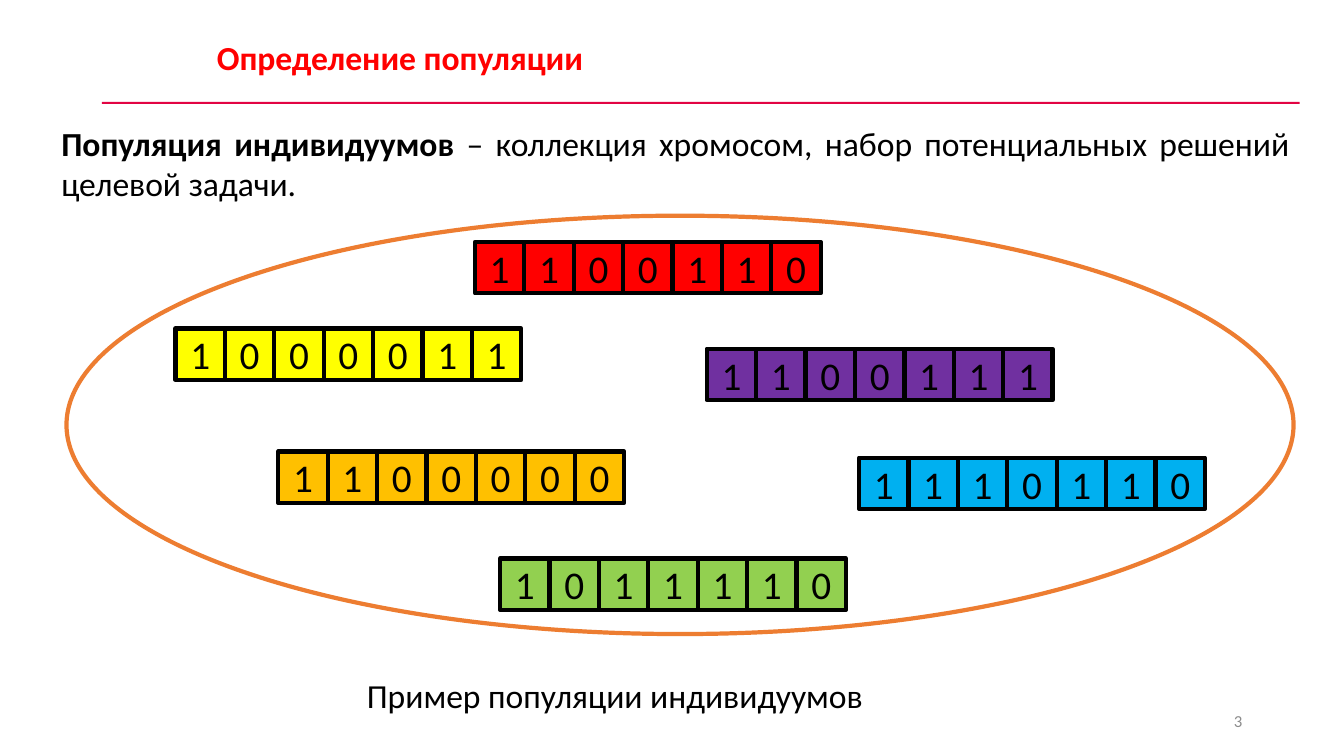
"""Build the slide that defines a population of individuals."""
import pptx
import pptx.util
import pptx.dml.color
import pptx.enum.shapes
import pptx.enum.text

Inches = pptx.util.Inches
ALIGN = pptx.enum.text.PP_ALIGN
ANCHOR = pptx.enum.text.MSO_ANCHOR
SHAPE = pptx.enum.shapes.MSO_SHAPE

COLORS = {
    "black": "000000", "gray": "8C8C8C", "rule": "E20443", "oval": "ED7D31",
    "red": "FF0000", "yellow": "FFFF00", "green": "92D050",
    "blue": "00B0F0", "purple": "7030A0", "orange": "FFC000",
}
TITLE = "Определение популяции"
TERM = "Популяция индивидуумов"
MEANING = " – коллекция хромосом, набор потенциальных решений целевой задачи."
CAPTION = "Пример популяции индивидуумов"
NUMBER = "3"
GENES = [
    ("1100110", "red", 4.71, 2.4),
    ("1000011", "yellow", 1.74, 3.26),
    ("1011110", "green", 4.96, 5.54),
    ("1110110", "blue", 8.52, 4.54),
    ("1100111", "purple", 7.01, 3.46),
    ("1100000", "orange", 2.76, 4.48),
]
STEP, WIDTH, HEIGHT = 0.49, 0.49, 0.51


def color(name):
    return pptx.dml.color.RGBColor.from_string(COLORS[name])


def write(frame, runs, size, align=ALIGN.LEFT, anchor=ANCHOR.TOP):
    frame.word_wrap = True
    frame.auto_size = pptx.enum.text.MSO_AUTO_SIZE.NONE
    frame.vertical_anchor = anchor
    line = frame.paragraphs[0]
    line.alignment = align
    for text, tone, bold in runs:
        run = line.add_run()
        run.text = text
        run.font.name = "Calibri"
        run.font.size = pptx.util.Pt(size)
        run.font.bold = bold
        run.font.color.rgb = color(tone)


def add_text(slide, box, *style):
    write(slide.shapes.add_textbox(*map(Inches, box)).text_frame, *style)


def add_shape(slide, kind, box, fill=None, line=None):
    shape = slide.shapes.add_shape(kind, *map(Inches, box))
    shape.shadow.inherit = False
    if fill:
        shape.fill.solid()
        shape.fill.fore_color.rgb = color(fill)
    else:
        shape.fill.background()
    if line:
        shape.line.color.rgb = color(line)
        shape.line.width = pptx.util.Pt(3)
    else:
        shape.line.fill.background()
    return shape


def main():
    deck = pptx.Presentation()
    deck.slide_width, deck.slide_height = Inches(13.33), Inches(7.5)
    slide = deck.slides.add_slide(deck.slide_layouts[5])

    title = slide.shapes.title
    title.left, title.top = Inches(2.05), Inches(0.32)
    title.width, title.height = Inches(9.23), Inches(0.5)
    write(title.text_frame, [(TITLE, "red", True)], 24)

    add_shape(slide, SHAPE.RECTANGLE, (1.01, 1.01, 11.88, 0.02), "rule")
    add_text(slide, (9.42, 6.95, 3, 0.4), [(NUMBER, "gray", False)], 12,
             ALIGN.RIGHT, ANCHOR.MIDDLE)
    add_text(slide, (0.51, 1.17, 12.38, 1.31),
             [(TERM, "black", True), (MEANING, "black", False)], 24, ALIGN.JUSTIFY)
    add_text(slide, (3.54, 6.65, 6.71, 0.5), [(CAPTION, "black", False)], 24,
             ALIGN.JUSTIFY)
    add_shape(slide, SHAPE.OVAL, (0.66, 2.14, 12.17, 4.15), line="oval")

    for bits, fill, left, top in GENES:
        for index, bit in enumerate(bits):
            box = (left + index * STEP, top, WIDTH, HEIGHT)
            cell = add_shape(slide, SHAPE.RECTANGLE, box, fill, "black")
            write(cell.text_frame, [(bit, "black", False)], 28,
                  ALIGN.CENTER, ANCHOR.MIDDLE)

    deck.save("out.pptx")


if __name__ == "__main__":
    main()
